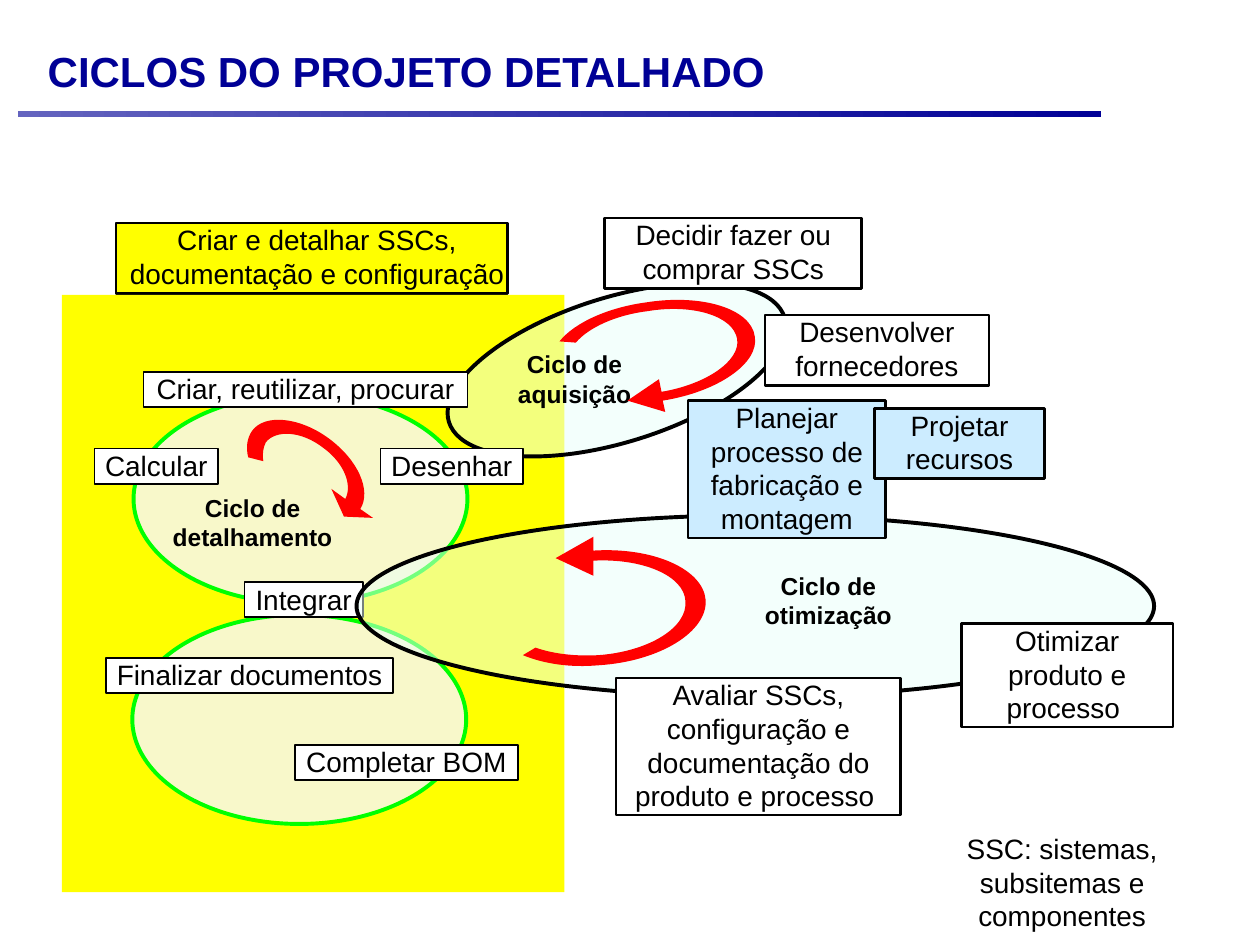
from lxml import etree
from pptx import Presentation
from pptx.dml.color import RGBColor
from pptx.enum.shapes import MSO_SHAPE
from pptx.enum.text import MSO_ANCHOR, PP_ALIGN
from pptx.oxml.ns import qn
from pptx.util import Inches, Pt

NAVY = RGBColor(0x00, 0x00, 0x96)
LILAC = RGBColor(0x64, 0x64, 0xBF)
YELLOW = RGBColor(0xFF, 0xFF, 0x00)
CREAM = RGBColor(0xF8, 0xF8, 0xCA)
GREEN = RGBColor(0x00, 0xFF, 0x00)
MINT = RGBColor(0xE9, 0xFF, 0xFB)
SKY = RGBColor(0xCC, 0xEC, 0xFF)
RED = RGBColor(0xFF, 0x00, 0x00)
WHITE = RGBColor(0xFF, 0xFF, 0xFF)
BLACK = RGBColor(0x00, 0x00, 0x00)

RECT, OVAL = MSO_SHAPE.RECTANGLE, MSO_SHAPE.OVAL

deck = Presentation()
deck.slide_width, deck.slide_height = Inches(10), Inches(7.5)
slide = deck.slides.add_slide(deck.slide_layouts[6])
shapes = slide.shapes


def draw(kind, at, fill, line=None, width=0):
    shape = shapes.add_shape(kind, *map(Inches, at))
    shape.shadow.inherit = False
    shape.fill.solid()
    shape.fill.fore_color.rgb = fill
    if line is None:
        shape.line.fill.background()
    else:
        shape.line.color.rgb = line
        shape.line.width = Pt(width)
    return shape


def write(shape, text, size=16, bold=False, color=BLACK, align=PP_ALIGN.CENTER,
          anchor=MSO_ANCHOR.TOP, wrap=True, insets=(0.08, 0, 0.08, 0)):
    frame = shape.text_frame
    frame.word_wrap = wrap
    frame.vertical_anchor = anchor
    for side, inset in zip(("left", "top", "right", "bottom"), insets):
        setattr(frame, f"margin_{side}", Inches(inset))
    para = frame.paragraphs[0]
    para.alignment = align
    run = para.add_run()
    run.text = text
    look = {"name": "Arial", "size": Pt(size), "bold": bold}
    for key, value in look.items():
        setattr(run.font, key, value)
    run.font.color.rgb = color


# Title and rule
rule = draw(RECT, (0.14, 0.88, 8.6, 0.05), NAVY)
rule.fill.gradient()
rule.fill.gradient_angle = 0
for stop, color in zip(rule.fill.gradient_stops, (LILAC, NAVY)):
    stop.color.rgb = color
title = shapes.add_textbox(*map(Inches, (0.28, 0.18, 8.08, 0.77)))
write(title, "CICLOS DO PROJETO DETALHADO", 24, True, NAVY, PP_ALIGN.LEFT,
      MSO_ANCHOR.MIDDLE, insets=(0.1, 0.05, 0.1, 0.05))

# Yellow area with the detailing cycle
head = draw(RECT, (0.92, 1.77, 3.11, 0.56), YELLOW, BLACK, 1.5)
write(head, "Criar e detalhar SSCs, documentação e configuração ",
      insets=(0.08, 0, 0, 0))
draw(RECT, (0.49, 2.34, 3.99, 4.74), YELLOW)
for left, top in ((1.05, 4.88), (1.06, 3.13)):
    draw(OVAL, (left, top, 2.65, 1.66), CREAM, GREEN, 2.25)

# Boxes and clear ovals, from back to front: (text, at, fill); an oval has
# its turn in place of a text
items = [
    ("Integrar", (1.94, 4.62, 0.94, 0.28), WHITE),
    ("Completar BOM", (2.34, 5.91, 1.77, 0.28), WHITE),
    ("Finalizar documentos", (0.84, 5.22, 2.28, 0.28), WHITE),
    (-17.3, (3.5, 2.36, 2.79, 1.15), MINT),
    ("Decidir fazer ou comprar SSCs", (4.8, 1.73, 2.04, 0.56), WHITE),
    ("Desenvolver fornecedores", (6.07, 2.5, 1.78, 0.56), WHITE),
    (0, (2.83, 4.09, 6.33, 1.44), MINT),
    ("Avaliar SSCs, configuração e documentação do produto e processo ",
     (4.89, 5.38, 2.26, 1.09), WHITE),
    ("Planejar processo de fabricação e montagem",
     (5.46, 3.18, 1.57, 1.09), SKY),
    ("Otimizar produto e processo ", (7.63, 4.95, 1.68, 0.82), WHITE),
    ("Calcular", (0.75, 3.56, 0.98, 0.28), WHITE),
    ("Desenhar", (3.02, 3.56, 1.13, 0.28), WHITE),
    ("Criar, reutilizar, procurar", (1.14, 2.95, 2.57, 0.28), WHITE),
    ("Projetar recursos", (6.94, 3.24, 1.35, 0.56), SKY),
]
for text, at, fill in items:
    if fill == MINT:
        oval = draw(OVAL, at, fill, BLACK, 2.25)
        oval.rotation = text
        tint = oval.fill._xPr.find(qn("a:solidFill"))[0]
        etree.SubElement(tint, qn("a:alpha"), val="50000")
    else:
        single = at[3] < 0.3
        box = draw(RECT, at, fill, BLACK, 1 if single else 1.5)
        write(box, text, wrap=not single)

# Names of the cycles
names = [
    ("Ciclo de otimização", (5.98, 4.53, 1.19, 0.47)),
    ("Ciclo de detalhamento", (1.32, 3.91, 1.37, 0.47)),
    ("Ciclo de aquisição", (3.94, 2.77, 1.24, 0.47)),
]
for text, at in names:
    label = shapes.add_textbox(*map(Inches, at))
    write(label, text, 14, True, anchor=MSO_ANCHOR.MIDDLE, insets=(0, 0, 0, 0))

# Curved arrows: two numbers are a corner, six are a Bézier curve
arrows = [
    [(5.25, 3.11), (5.61, 3.05, 5.88, 2.86, 5.85, 2.69),
     (5.82, 2.51, 5.5, 2.41, 5.14, 2.47), (4.89, 2.5, 4.67, 2.6, 4.57, 2.72),
     (4.44, 2.71), (4.56, 2.56, 4.83, 2.44, 5.13, 2.4),
     (5.57, 2.33, 5.96, 2.45, 5.99, 2.67), (6.03, 2.88, 5.7, 3.11, 5.26, 3.18),
     (5.28, 3.27), (4.98, 3.18), (5.23, 3.01), (5.25, 3.11)],
    [(4.71, 4.45), (5.1, 4.43, 5.43, 4.57, 5.44, 4.77),
     (5.46, 4.98, 5.15, 5.17, 4.75, 5.2), (4.57, 5.21, 4.39, 5.19, 4.25, 5.14),
     (4.15, 5.2), (4.32, 5.27, 4.53, 5.3, 4.75, 5.28),
     (5.24, 5.25, 5.62, 5.01, 5.6, 4.76), (5.58, 4.52, 5.19, 4.34, 4.71, 4.37),
     (4.71, 4.26), (4.41, 4.43), (4.71, 4.57), (4.71, 4.45)],
    [(2.74, 3.96), (2.8, 3.85, 2.73, 3.67, 2.56, 3.55),
     (2.39, 3.42, 2.19, 3.41, 2.11, 3.51), (2.09, 3.55, 2.08, 3.6, 2.09, 3.66),
     (1.97, 3.63), (1.95, 3.55, 1.96, 3.48, 2, 3.42),
     (2.1, 3.28, 2.38, 3.31, 2.61, 3.48), (2.84, 3.65, 2.95, 3.89, 2.86, 4.04),
     (2.96, 4.11), (2.73, 4.1), (2.63, 3.88), (2.74, 3.96)],
]
for start, *parts in arrows:
    ends = [tuple(map(Inches, part[-2:])) for part in parts]
    pen = shapes.build_freeform(*map(Inches, start))
    pen.add_line_segments(ends, close=True)
    arrow = pen.convert_to_shape()
    arrow.shadow.inherit = False
    arrow.fill.solid()
    arrow.fill.fore_color.rgb = RED
    arrow.line.fill.background()
    # Turn the straight pieces into curves where control points are given
    pieces = list(arrow._element.iter(qn("a:lnTo")))
    for piece, part in zip(pieces, parts):
        if len(part) == 6:
            curve = etree.Element(qn("a:cubicBezTo"))
            for x, y in (part[:2], part[2:4], part[4:]):
                etree.SubElement(curve, qn("a:pt"), x=str(Inches(x) - arrow.left),
                                 y=str(Inches(y) - arrow.top))
            piece.getparent().replace(piece, curve)

# Key
key = shapes.add_textbox(*map(Inches, (7.05, 6.55, 2.76, 0.9)))
write(key, "SSC: sistemas, subsitemas e componentes",
      insets=(0.1, 0.05, 0.1, 0.05))

deck.save("out.pptx")
